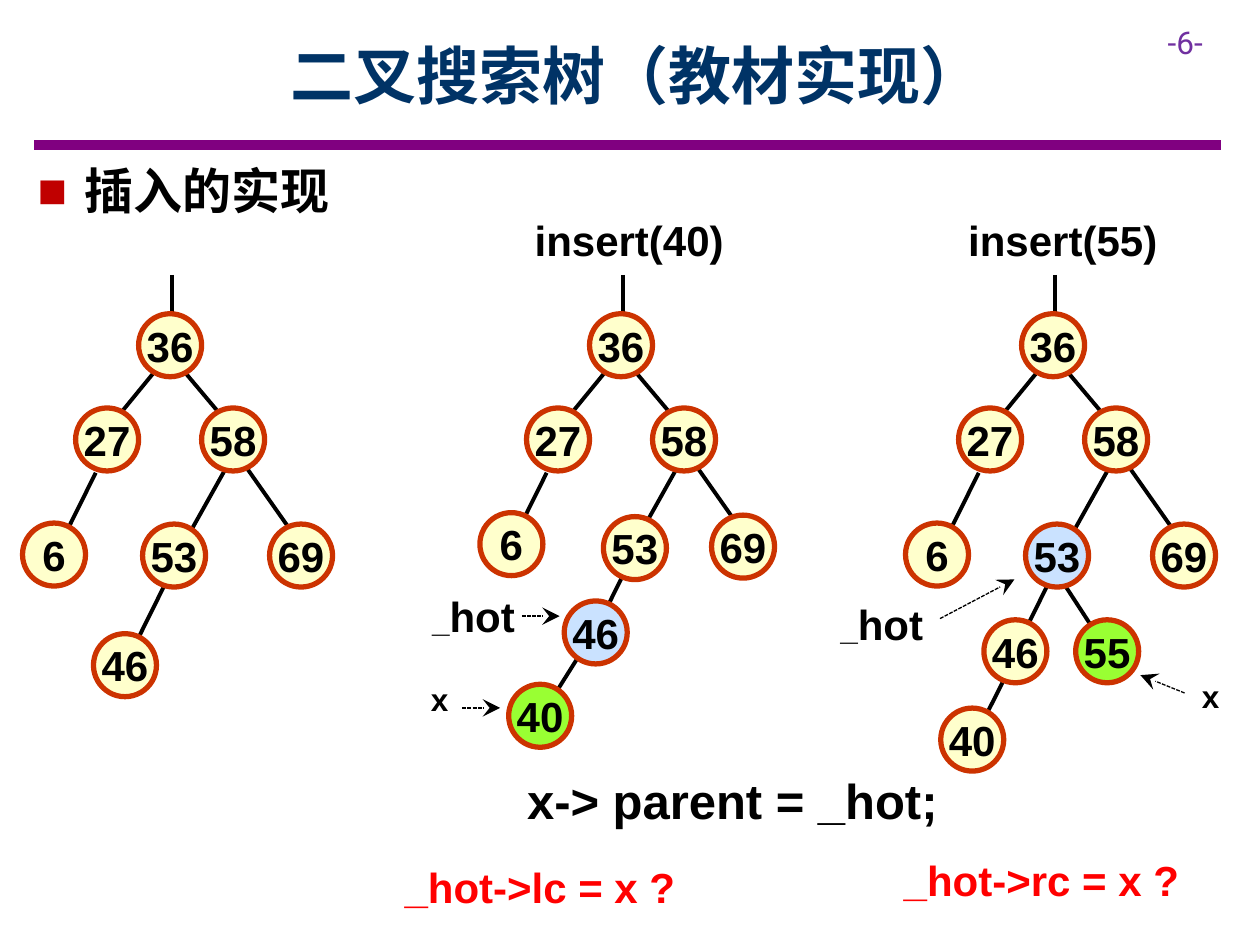
from pptx import Presentation
from pptx.dml.color import RGBColor
from pptx.enum.dml import MSO_LINE as Dash
from pptx.enum.shapes import MSO_CONNECTOR as Conn, MSO_SHAPE as Geo
from pptx.enum.text import MSO_ANCHOR as Anchor, PP_ALIGN as Align
from pptx.oxml.ns import qn
from pptx.util import Cm, Pt
from lxml.etree import SubElement as sub

CREAM, BLUE, GREEN, RED = "FFFFCC", "CAE2FF", "99FF33", "FF0000"
CJK = "Noto Sans CJK SC"
SIZE = 1.27  # node diameter

# Content in cm; x inside a tree is measured from the centre of its root
SAME_EDGES = [
    (0.03, 5.54, 0.03, 6.6), (-0.23, 7.39, -1.27, 8.66),
    (0.2, 7.39, 1.27, 8.66), (-1.5, 9.53, -2.13, 10.8),
    (1.52, 9.4, 2.59, 10.92), (1.09, 9.5, 0.25, 11),
]
SAME_NODES = [("36", 0, 6.96, CREAM), ("27", -1.27, 8.86, CREAM),
              ("58", 1.27, 8.86, CREAM)]
TREES = [
    dict(root=3.43,
         edges=[(-0.08, 11.73, -0.71, 13)],
         nodes=[("6", -2.34, 11.18, CREAM), ("53", 0.08, 11.2, CREAM),
                ("69", 2.64, 11.2, CREAM), ("46", -0.91, 13.41, CREAM)]),
    dict(root=12.52,
         edges=[(0.08, 11.51, -0.33, 12.34), (-0.76, 13.08, -1.3, 13.94)],
         nodes=[("6", -2.21, 10.97, CREAM), ("53", 0.28, 11.05, CREAM),
                ("69", 2.46, 11.02, CREAM), ("46", -0.51, 12.75, BLUE),
                ("40", -1.63, 14.43, GREEN)]),
    dict(root=21.23,
         edges=[(-0.08, 11.73, -0.71, 13), (-0.86, 13.44, -1.5, 14.71),
                (0.03, 11.48, 1.09, 13.11)],
         nodes=[("6", -2.34, 11.18, CREAM), ("53", 0.08, 11.2, BLUE),
                ("69", 2.64, 11.2, CREAM), ("46", -0.76, 13.13, CREAM),
                ("55", 1.09, 13.13, GREEN), ("40", -1.63, 14.91, CREAM)]),
]
HOT = [("_", 18), ("hot", 24)]
LABELS = [  # text, box, size, colour
    ("insert(40)", (11.35, 4.52, 2.67, 0.61), 24, "000000"),
    ("insert(55)", (20.09, 4.52, 2.67, 0.61), 24, "000000"),
    (HOT, (8.86, 12.07, 1.37, 0.69), 24, "000000"),
    (HOT, (17.09, 12.22, 1.37, 0.69), 24, "000000"),
    ("x", (8.18, 13.74, 1.37, 0.69), 18, "000000"),
    ("x", (23.72, 13.69, 1.37, 0.69), 18, "000000"),
    ("x-> parent = _hot;", (10.36, 15.42, 8.81, 1.4), 28, "000000"),
    ("_hot->lc = x ?", (6.48, 17.17, 8.81, 1.4), 24, RED),
    ("_hot->rc = x ?", (16.59, 17.04, 8.81, 1.4), 24, RED),
]
ARROWS = [(10.52, 12.42, 11.28, 12.42), (9.32, 14.27, 10.08, 14.27),
          (18.95, 12.47, 20.45, 11.68), (23.88, 13.97, 22.99, 13.61)]

deck = Presentation()
deck.slide_width, deck.slide_height = Cm(25.4), Cm(19.05)
page = deck.slides.add_slide(deck.slide_layouts[6])
shapes = page.shapes


def rgb(code):
    return RGBColor.from_string(code)


def write(shape, text, size=24, color="000000", font="Arial", bold=True,
          align=Align.CENTER, anchor=Anchor.MIDDLE, wrap=False, pad=0):
    """Fill a shape with one paragraph; text is a string or (text, size) runs."""
    frame = shape.text_frame
    frame.word_wrap, frame.vertical_anchor = wrap, anchor
    frame.margin_left = frame.margin_right = Cm(pad)
    frame.margin_top = frame.margin_bottom = Cm(pad / 2)
    para = frame.paragraphs[0]
    para.alignment = align
    for part, pts in [(text, size)] if isinstance(text, str) else text:
        run = para.add_run()
        run.text = part
        face = run.font
        face.size, face.bold, face.name = Pt(pts), bold, font
        face.color.rgb = rgb(color)
        sub(run.font._element, qn("a:ea"), typeface=font)
    return para


def box(place, text, **form):
    shape = shapes.add_textbox(*map(Cm, place))
    return write(shape, text, wrap=True, pad=0.25, **form)


def oval(place, text, fill=None, **form):
    shape = shapes.add_shape(Geo.OVAL, *map(Cm, place))
    shape.shadow.inherit = False
    if fill:
        shape.fill.solid()
        shape.fill.fore_color.rgb = rgb(fill)
        shape.line.color.rgb = rgb("CC3300")
        shape.line.width = Pt(3)
    else:
        shape.fill.background()
        shape.line.fill.background()
    write(shape, text, **form)


def rule(ends, width=2.25, color="000000", arrow=False):
    wire = shapes.add_connector(Conn.STRAIGHT, *map(Cm, ends))
    wire.line.color.rgb = rgb(color)
    wire.line.width = Pt(width)
    if arrow:
        wire.line.dash_style = Dash.SQUARE_DOT
        sub(wire.line._get_or_add_ln(), qn("a:tailEnd"), type="stealth",
            w="lg", len="lg")
    sub(wire._element.spPr, qn("a:effectLst"))


# Heading
rule((0.69, 2.92, 24.61, 2.92), width=6, color="800080")
box((23.29, 0.33, 2.11, 1.02), "-6-", size=18, color="7030A0", font="Roboto",
    bold=False, align=Align.LEFT, anchor=Anchor.TOP)
box((2.29, 0.23, 21.11, 2.54), "二叉搜索树（教材实现）", size=36,
    color="003366", font=CJK)

# Bullet line
point = box((0.51, 3.12, 13.41, 1.45), "插入的实现", size=28, font=CJK,
            align=Align.LEFT, anchor=Anchor.TOP)
point.space_after = Pt(6)
props = point._p.get_or_add_pPr()
props.set("marL", str(Cm(0.95)))
props.set("indent", str(-Cm(0.95)))
sub(sub(props, qn("a:buClr")), qn("a:srgbClr"), val="C00000")
sub(props, qn("a:buFont"), typeface="Arial")
sub(props, qn("a:buChar"), char="■")

# Trees: edges first, nodes over them
for tree in TREES:
    root = tree["root"]
    for x1, y1, x2, y2 in SAME_EDGES + tree["edges"]:
        rule((root + x1, y1, root + x2, y2))
    for key, x, y, fill in SAME_NODES + tree["nodes"]:
        oval((root + x - SIZE / 2, y - SIZE / 2, SIZE, SIZE), key, fill)

# Labels and pointers
for text, place, size, color in LABELS:
    oval(place, text, size=size, color=color)
for ends in ARROWS:
    rule(ends, width=0.75, arrow=True)

deck.save("out.pptx")
